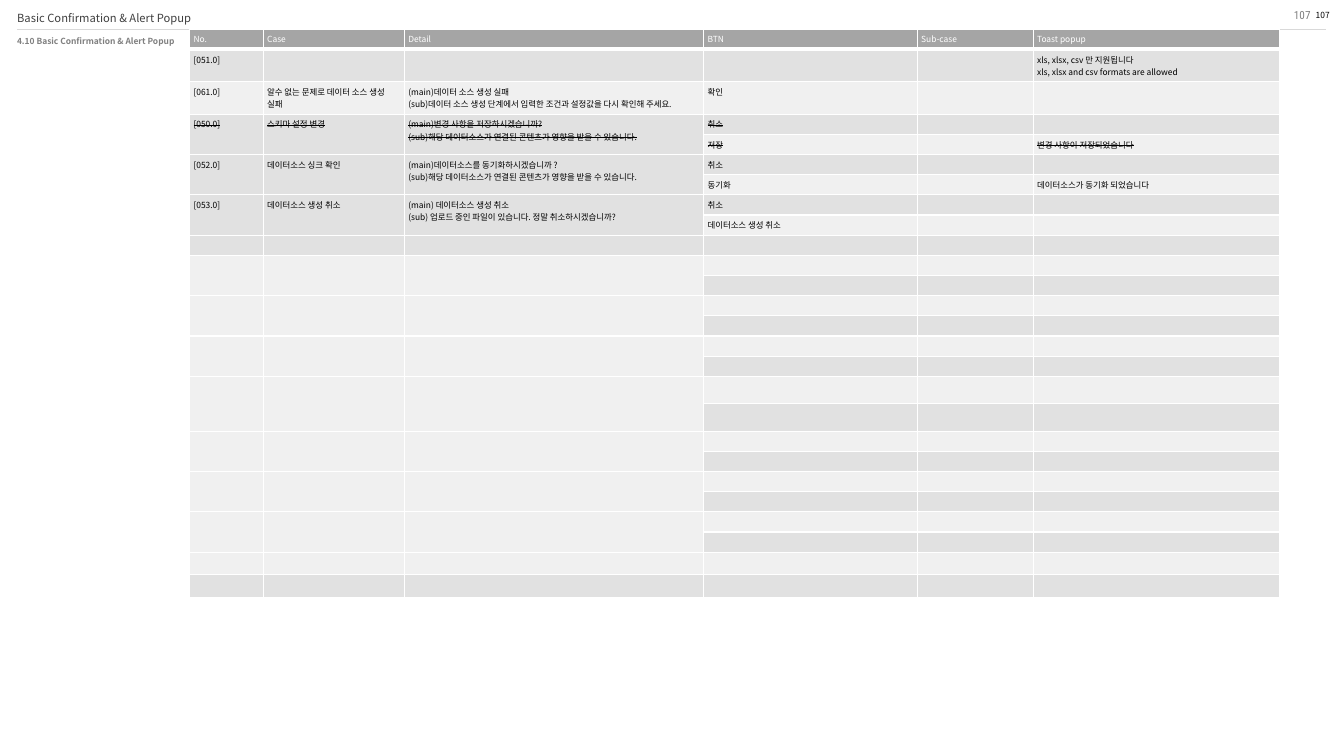
from pptx import Presentation
from pptx.dml.color import RGBColor
from pptx.enum.shapes import MSO_CONNECTOR
from pptx.enum.text import MSO_ANCHOR, MSO_AUTO_SIZE, PP_ALIGN
from pptx.oxml.ns import qn
from pptx.util import Pt
from lxml.etree import SubElement

WHITE = RGBColor(0xFF, 0xFF, 0xFF)
BLACK = RGBColor(0x00, 0x00, 0x00)
TITLE_GRAY = RGBColor(0x40, 0x40, 0x40)
MUTED_GRAY = RGBColor(0x80, 0x80, 0x80)
RULE_GRAY = RGBColor(0xD9, 0xD9, 0xD9)
HEADER_GRAY = RGBColor(0xA5, 0xA5, 0xA5)
DARK_BAND = RGBColor(0xE1, 0xE1, 0xE1)
LIGHT_BAND = RGBColor(0xF0, 0xF0, 0xF0)

BODY_FONT = "Noto Sans CJK KR"
NUMBER_FONT = "Roboto Condensed"

COLUMN_WIDTHS = [52.6, 100.8, 213.8, 152.6, 82.8, 175.7]
ROW_HEIGHTS = [14.2] + [23.2] * 2 + [14.4] * 13 + [19.6] * 2 + [14.4] * 6 + [16.2] * 2
MERGE_STARTS = [3, 5, 7, 10, 12, 14, 16, 18, 20, 22]
STRUCK_ROWS = [3, 4]
POPUP_ROWS = [
    ["No.", "Case", "Detail", "BTN", "Sub-case", "Toast popup"],
    ["[051.0]", "", "", "", "",
     "xls, xlsx, csv 만 지원됩니다\nxls, xlsx and csv formats are allowed"],
    ["[061.0]", "알수 없는 문제로 데이터 소스 생성 실패",
     "(main)데이터 소스 생성 실패\n"
     "(sub)데이터 소스 생성 단계에서 입력한 조건과 설정값을 다시 확인해 주세요.", "확인"],
    ["[050.0]", "스키마 설정 변경",
     "(main)변경 사항을 저장하시겠습니까?\n"
     "(sub)해당 데이터소스가 연결된 콘텐츠가 영향을 받을 수 있습니다.", "취소"],
    ["", "", "", "저장", "", "변경 사항이 저장되었습니다"],
    ["[052.0]", "데이터소스 싱크 확인",
     "(main)데이터소스를 동기화하시겠습니까 ?\n"
     "(sub)해당 데이터소스가 연결된 콘텐츠가 영향을 받을 수 있습니다.", "취소"],
    ["", "", "", "동기화", "", "데이터소스가 동기화 되었습니다"],
    ["[053.0]", "데이터소스 생성 취소",
     "(main) 데이터소스 생성 취소\n"
     "(sub) 업로드 중인 파일이 있습니다. 정말 취소하시겠습니까?", "취소"],
    ["", "", "", "데이터소스 생성 취소"],
]


def add_run(paragraph, text, size, color, font=BODY_FONT, bold=False, struck=False):
    run = paragraph.add_run()
    run.text = text
    run.font.size = Pt(size)
    run.font.bold = bold
    run.font.name = font
    run.font.color.rgb = color
    properties = run._r.get_or_add_rPr()
    SubElement(properties, qn("a:ea")).set("typeface", font)
    if struck:
        properties.set("strike", "sngStrike")


def place(shape, box):
    shape.left, shape.top, shape.width, shape.height = [Pt(value) for value in box]


def set_frame(frame, anchor, margins):
    frame.word_wrap = True
    frame.auto_size = MSO_AUTO_SIZE.NONE
    frame.vertical_anchor = anchor
    (frame.margin_left, frame.margin_top,
     frame.margin_right, frame.margin_bottom) = [Pt(value) for value in margins]


def fill_heading(shape, box, text, size, color, anchor, margins, bold=False):
    place(shape, box)
    set_frame(shape.text_frame, anchor, margins)
    paragraph = shape.text_frame.paragraphs[0]
    properties = paragraph._p.get_or_add_pPr()
    properties.set("marL", "0")
    properties.set("indent", "0")
    SubElement(properties, qn("a:buNone"))
    paragraph.alignment = PP_ALIGN.LEFT
    paragraph.line_spacing = 0.9
    paragraph.space_before = Pt(0)
    add_run(paragraph, text, size, color, bold=bold)


def add_rule(slide, left, right, top):
    rule = slide.shapes.add_connector(
        MSO_CONNECTOR.STRAIGHT, Pt(left), Pt(top), Pt(right), Pt(top))
    rule.line.color.rgb = RULE_GRAY
    rule.line.width = Pt(0.25)
    SubElement(rule._element.spPr, qn("a:effectLst"))


def add_page_number(slide, box, size, color, font, right_margin):
    number = slide.shapes.add_textbox(*[Pt(value) for value in box])
    set_frame(number.text_frame, MSO_ANCHOR.MIDDLE, (0, 0, right_margin, 0))
    paragraph = number.text_frame.paragraphs[0]
    paragraph.alignment = PP_ALIGN.CENTER
    add_run(paragraph, "107", size, color, font)


def add_header(slide, box):
    left, top, width, height = box
    bottom = top + height
    title, section = slide.placeholders
    add_rule(slide, left, left + 708, bottom)
    add_rule(slide, left + 714.5, left + width, bottom)
    fill_heading(title, (left, top, 708, height - 0.5), "Basic Confirmation & Alert Popup",
                 8, TITLE_GRAY, MSO_ANCHOR.BOTTOM, (0, 0, 0, 2.9))
    fill_heading(section, (left, bottom, 708, 20), "4.10 Basic Confirmation & Alert Popup",
                 6, MUTED_GRAY, MSO_ANCHOR.TOP, (0, 5.7, 0, 0), bold=True)
    add_page_number(slide, (left + width - 15, top, 27.4, height), 6, BLACK, BODY_FONT, 2.9)
    add_page_number(slide, (left + width - 34.6, top, 34.6, height),
                    8, MUTED_GRAY, NUMBER_FONT, 0)


def set_borders(cell, bottom_width):
    properties = cell._tc.get_or_add_tcPr()
    for side, width in (("L", 1), ("R", 1), ("T", 1), ("B", bottom_width)):
        border = SubElement(properties, qn("a:ln" + side), w=str(Pt(width)))
        fill = SubElement(border, qn("a:solidFill"))
        SubElement(fill, qn("a:srgbClr"), val=str(WHITE))


def fill_cell(cell, text, row):
    cell.margin_left = cell.margin_right = Pt(2.85)
    cell.margin_top = cell.margin_bottom = Pt(2.85)
    set_borders(cell, 1 if row else 3)
    cell.fill.solid()
    cell.fill.fore_color.rgb = (DARK_BAND if row % 2 else LIGHT_BAND) if row else HEADER_GRAY
    frame = cell.text_frame
    for index, line in enumerate(text.split("\n")):
        paragraph = frame.add_paragraph() if index else frame.paragraphs[0]
        if line:
            add_run(paragraph, line, 6, BLACK if row else WHITE, struck=row in STRUCK_ROWS)
        else:
            SubElement(paragraph._p, qn("a:endParaRPr"), sz="600")


def add_popup_table(slide, box):
    frame = slide.shapes.add_table(
        len(ROW_HEIGHTS), len(COLUMN_WIDTHS), *[Pt(value) for value in box])
    table = frame.table
    table.horz_banding = False
    for column, width in zip(table.columns, COLUMN_WIDTHS):
        column.width = Pt(width)
    for row, height in enumerate(ROW_HEIGHTS):
        table.rows[row].height = Pt(height)
        texts = POPUP_ROWS[row] if row < len(POPUP_ROWS) else []
        for column in range(len(COLUMN_WIDTHS)):
            text = texts[column] if column < len(texts) else ""
            fill_cell(table.cell(row, column), text, row)
    for row in MERGE_STARTS:
        for column in range(3):
            table.cell(row, column).merge(table.cell(row + 1, column))


def main():
    presentation = Presentation()
    presentation.slide_width = Pt(960)
    presentation.slide_height = Pt(540)
    slide = presentation.slides.add_slide(presentation.slide_layouts[1])
    add_header(slide, (12.2, 0, 935.3, 20.9))
    add_popup_table(slide, (135.4, 20.9, sum(COLUMN_WIDTHS), sum(ROW_HEIGHTS)))
    presentation.save("out.pptx")


if __name__ == "__main__":
    main()
